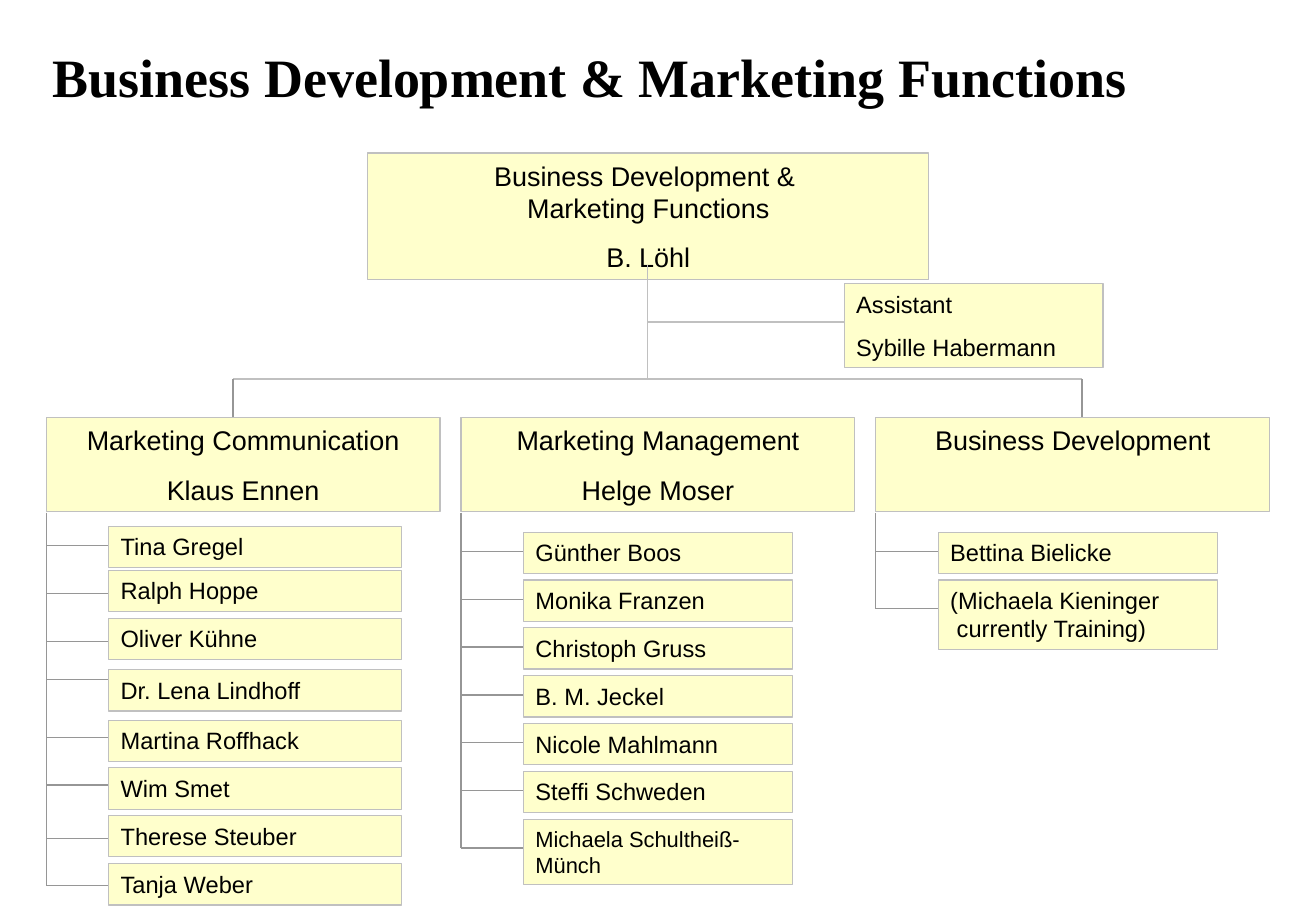
from lxml.etree import SubElement
from pptx import Presentation
from pptx.dml.color import RGBColor
from pptx.enum.shapes import MSO_CONNECTOR as Link, MSO_SHAPE as Form
from pptx.enum.text import MSO_ANCHOR as Anchor, MSO_AUTO_SIZE as Fit, PP_ALIGN as Align
from pptx.oxml.ns import qn
from pptx.util import Pt

BLACK = RGBColor(0, 0, 0)
CREAM = RGBColor(0xFF, 0xFF, 0xCC)
SILVER = RGBColor(0xC0, 0xC0, 0xC0)
GRAY = RGBColor(0x96, 0x96, 0x96)

TITLE = "Business Development & Marketing Functions"
CHIEF = ["Business Development & \nMarketing Functions", "B. Löhl"]
AIDE = ["Assistant", "Sybille Habermann"]
STEP = 28.35
TEAMS = [
    {
        "head": ["Marketing Communication", "Klaus Ennen"],
        "width": 173.5,
        "staff": ["Tina Gregel", "Ralph Hoppe", "Oliver Kühne", "Dr. Lena Lindhoff",
                  "Martina Roffhack", "Wim Smet", "Therese Steuber", "Tanja Weber"],
        "tops": [312, 338, 366.5, 397, 427, 455.2, 483.4, 512],
        "ticks": [323.4, 351.6, 380.2, 402.7, 437, 465.3, 497, 525.1],
    },
    {
        "head": ["Marketing Management", "Helge Moser"],
        "width": 159.5,
        "staff": ["Günther Boos", "Monika Franzen", "Christoph Gruss", "B. M. Jeckel",
                  "Nicole Mahlmann", "Steffi Schweden", "Michaela Schultheiß-Münch"],
        "tops": [315.5 + STEP * i for i in range(7)],
        "ticks": [326.9 + STEP * i for i in range(6)] + [502.7],
    },
    {
        "head": ["Business Development"],
        "width": 165.6,
        "staff": ["Bettina Bielicke", "(Michaela Kieninger\n currently Training)"],
        "tops": [315.5, 315.5 + STEP],
        "ticks": [326.9, 360.8],
    },
]
TALL = {"Michaela Schultheiß-Münch": (38.9, 13),
        "(Michaela Kieninger\n currently Training)": (41, 14)}

LEFT, PITCH, INDENT = 27.4, 245.9, 37
HEAD_TOP, HEAD_WIDE, HEAD_HIGH = 247.7, 233.5, 55.6
MID, BAR, ENDS = 383.8, 224.7, (138.2, 641.6)


def write(frame, lines, size=14, font="Arial", bold=False, align=Align.LEFT,
          anchor=Anchor.TOP, gap=8.8):
    frame.word_wrap = True
    frame.auto_size = Fit.NONE
    frame.vertical_anchor = anchor
    for i, line in enumerate(lines):
        para = frame.add_paragraph() if i else frame.paragraphs[0]
        para.text = line
        para.alignment = align
        para.space_before = Pt(gap if i else 0)
        for run in para.runs:
            run.font.size = Pt(size)
            run.font.name = font
            run.font.bold = bold
            run.font.color.rgb = BLACK


def box(slide, lines, x, y, w, h, **style):
    shape = slide.shapes.add_shape(Form.RECTANGLE, Pt(x), Pt(y), Pt(w), Pt(h))
    shape.shadow.inherit = False
    shape.fill.solid()
    shape.fill.fore_color.rgb = CREAM
    shape.line.color.rgb = SILVER
    shape.line.width = Pt(0.75)
    write(shape.text_frame, lines, **style)


def rule(slide, x1, y1, x2, y2, color=GRAY, width=0.75):
    line = slide.shapes.add_connector(Link.STRAIGHT, Pt(x1), Pt(y1), Pt(x2), Pt(y2))
    line.line.color.rgb = color
    line.line.width = Pt(width)
    SubElement(line.element.spPr, qn("a:effectLst"))


def team(slide, x, data):
    box(slide, data["head"], x, HEAD_TOP, HEAD_WIDE, HEAD_HIGH,
        size=16, align=Align.CENTER, gap=10)
    rule(slide, x, 303.8, x, data["ticks"][-1])
    for name, top, tick in zip(data["staff"], data["tops"], data["ticks"]):
        high, size = TALL.get(name, (24.5, 14))
        rule(slide, x, tick, x + INDENT, tick)
        box(slide, [name], x + INDENT, top, data["width"], high, size=size)


def main():
    deck = Presentation()
    deck.slide_width = Pt(780.13)
    deck.slide_height = Pt(540)
    slide = deck.slides.add_slide(deck.slide_layouts[5])

    title = slide.shapes.title
    title.left, title.top, title.width, title.height = Pt(0), Pt(0), Pt(700), Pt(90)
    write(title.text_frame, [TITLE], size=32, font="Times New Roman", bold=True,
          align=Align.CENTER, anchor=Anchor.MIDDLE)

    box(slide, CHIEF, 218, 90.7, 332.6, 74.9, size=16, align=Align.CENTER,
        anchor=Anchor.MIDDLE, gap=10)
    rule(slide, MID, 157, MID, BAR, SILVER, 1)
    rule(slide, ENDS[0], BAR, ENDS[1], BAR, SILVER, 1)
    for x in ENDS:
        rule(slide, x, BAR, x, HEAD_TOP, GRAY, 1)
    rule(slide, MID, 190.8, 500.5, 190.8, SILVER, 1)
    box(slide, AIDE, 500.5, 168, 153.4, 49.8)

    for i, data in enumerate(TEAMS):
        team(slide, LEFT + PITCH * i, data)
    deck.save("out.pptx")


if __name__ == "__main__":
    main()
